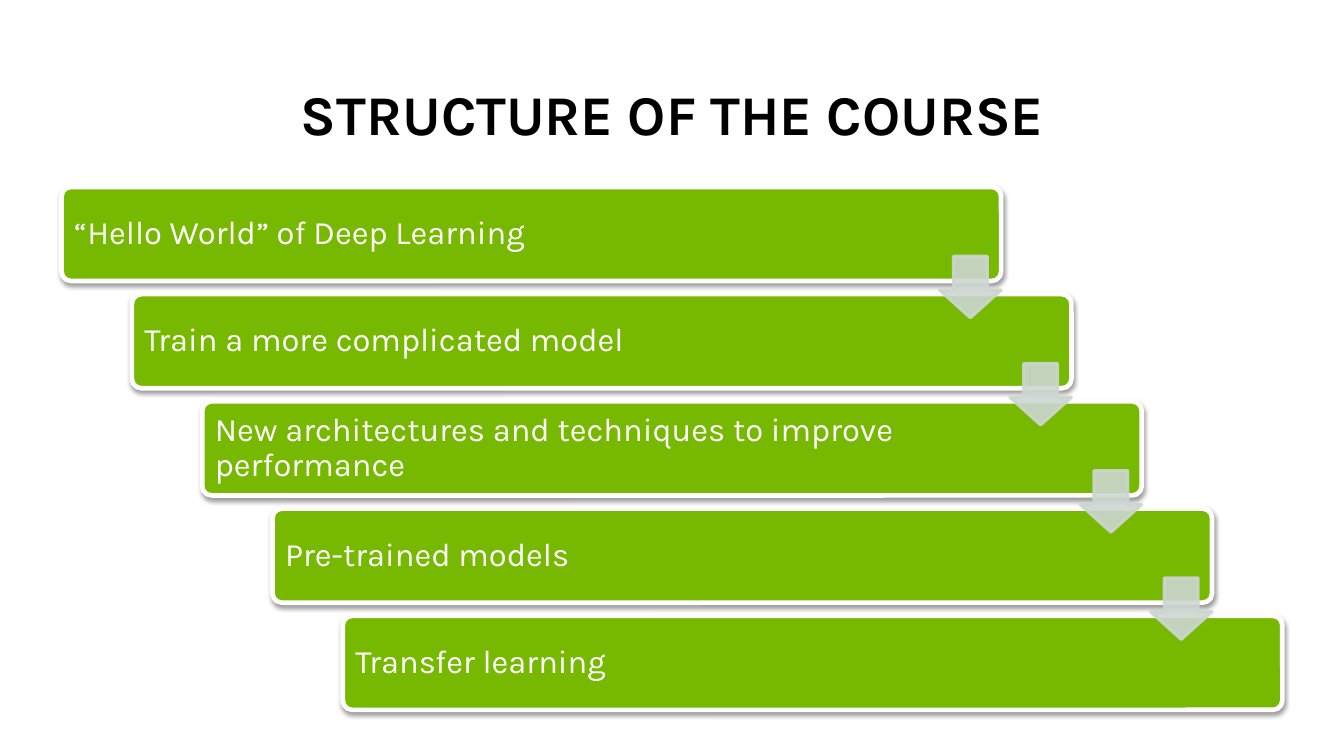
from lxml import etree
from pptx import Presentation
from pptx.dml.color import RGBColor
from pptx.enum.shapes import MSO_SHAPE as Shape
from pptx.enum.text import MSO_ANCHOR as Anchor, PP_ALIGN as Align
from pptx.oxml import parse_xml
from pptx.oxml.ns import nsdecls, qn
from pptx.util import Pt

FONT = "Karla"
GREEN, GREY, WHITE, BLACK = "76B900", "CCD6D0", "FFFFFF", "000000"
STEPS = [
    "“Hello World” of Deep Learning",
    "Train a more complicated model",
    "New architectures and techniques to improve performance",
    "Pre-trained models",
    "Transfer learning",
]


def color(value):
    return RGBColor.from_string(value)


def add_text(slide, box, text, size, text_color, anchor, inset, bold=False, align=Align.LEFT):
    text_box = slide.shapes.add_textbox(*map(Pt, box))
    frame = text_box.text_frame
    frame.word_wrap = True
    frame.vertical_anchor = anchor
    frame.margin_left = frame.margin_right = Pt(inset[0])
    frame.margin_top = frame.margin_bottom = Pt(inset[1])
    paragraph = frame.paragraphs[0]
    paragraph.text = text
    paragraph.alignment = align
    paragraph.line_spacing = 0.9
    font = paragraph.font
    font.name, font.size, font.bold = FONT, Pt(size), bold
    font.color.rgb = color(text_color)


def add_block(slide, kind, box, adjustments, fill, line, line_width):
    shape = slide.shapes.add_shape(kind, *map(Pt, box))
    shape.shadow.inherit = False
    for index, value in enumerate(adjustments):
        shape.adjustments[index] = value
    shape.fill.solid()
    shape.fill.fore_color.rgb = color(fill)
    shape.line.color.rgb = color(line)
    shape.line.width = Pt(line_width)
    return shape


def add_shadow(shape):
    effects = shape.element.spPr.find(qn("a:effectLst"))
    effects.append(parse_xml(
        f'<a:outerShdw {nsdecls("a")} blurRad="{Pt(3.1)}" dist="{Pt(1.6)}" dir="5400000" '
        f'rotWithShape="0"><a:srgbClr val="{BLACK}"><a:alpha val="38000"/></a:srgbClr>'
        '</a:outerShdw>'))


def set_opacity(shape, percent):
    for element in shape.element.spPr.iter(qn("a:srgbClr")):
        etree.SubElement(element, qn("a:alpha")).set("val", str(percent * 1000))


def add_title(slide, box):
    add_text(slide, box, "STRUCTURE OF THE COURSE", 36, BLACK, Anchor.BOTTOM,
             (7.2, 3.6), bold=True, align=Align.CENTER)


def add_staircase(slide, box, steps):
    left, top, width, height = box
    bar_width, bar_height, arrow_size = 604, 60.5, 39.6
    gaps = len(steps) - 1
    step_x = (width - bar_width) / gaps
    step_y = (height - bar_height) / gaps

    # Bars with their labels
    for index, label in enumerate(steps):
        x, y = left + index * step_x, top + index * step_y
        bar = add_block(slide, Shape.ROUNDED_RECTANGLE, (x, y, bar_width, bar_height),
                        [0.1], GREEN, WHITE, 3)
        add_shadow(bar)
        add_text(slide, (x + 1.8, y + 1.8, 516, bar_height - 3.6), label, 21, WHITE,
                 Anchor.MIDDLE, (6.3, 6.3))

    # Arrows from each bar to the next, flush with the bar's right edge
    for index in range(gaps):
        x = left + bar_width - arrow_size + index * step_x
        y = top + 44.5 + index * step_y
        arrow = add_block(slide, Shape.DOWN_ARROW, (x, y, arrow_size, arrow_size),
                          [0.55, 0.45], GREY, GREY, 2)
        set_opacity(arrow, 90)


def main():
    presentation = Presentation()
    presentation.slide_width, presentation.slide_height = Pt(864), Pt(486)
    slide = presentation.slides.add_slide(presentation.slide_layouts[6])
    add_title(slide, (39.6, 51.8, 785.5, 46.8))
    add_staircase(slide, (39.6, 120.2, 784.8, 336.2), STEPS)
    presentation.save("out.pptx")


if __name__ == "__main__":
    main()
